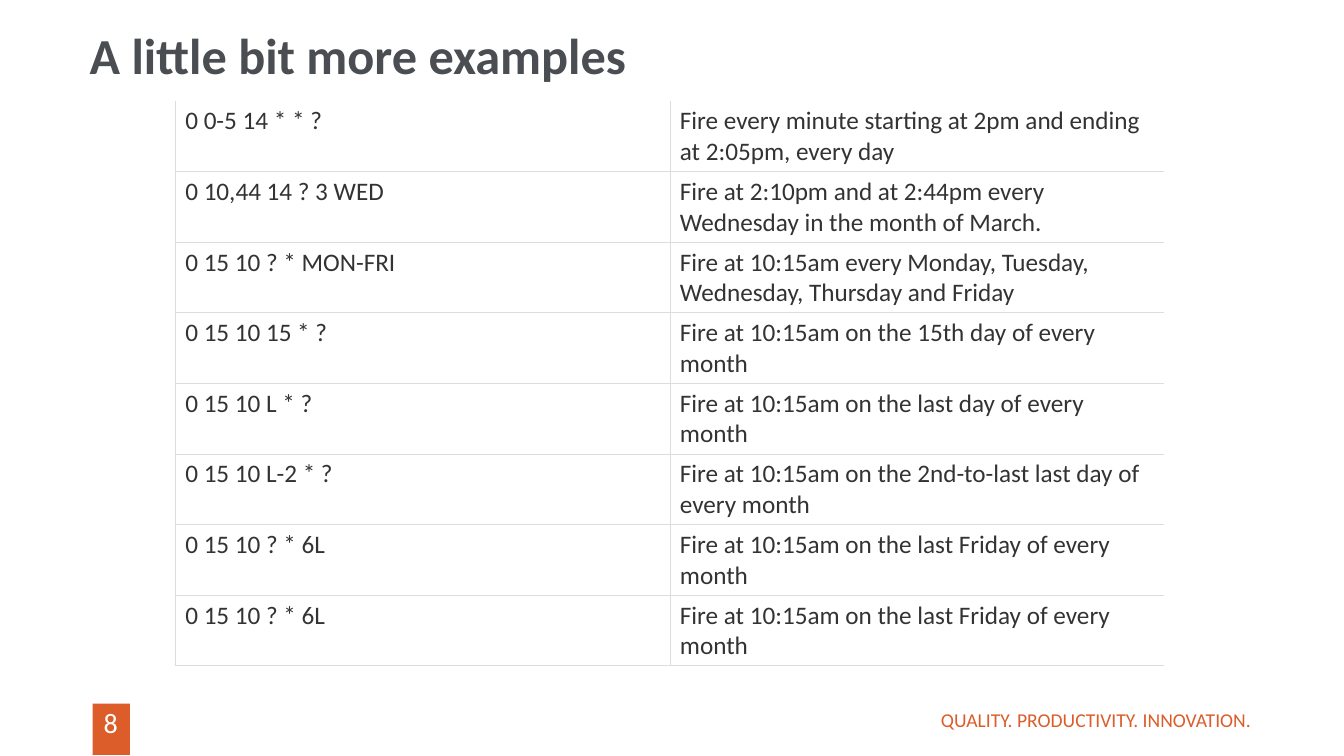
from lxml.etree import SubElement
from pptx import Presentation
from pptx.dml.color import RGBColor
from pptx.enum.shapes import MSO_SHAPE as Shape
from pptx.enum.text import MSO_ANCHOR as Anchor, MSO_AUTO_SIZE as AutoSize, PP_ALIGN as Align
from pptx.oxml.ns import qn
from pptx.util import Inches, Pt

ORANGE = RGBColor(0xDC, 0x5D, 0x2A)
SLATE = RGBColor(0x4A, 0x4E, 0x52)
CHARCOAL = RGBColor(0x33, 0x33, 0x33)
SILVER = RGBColor(0xDD, 0xDD, 0xDD)
WHITE = RGBColor(0xFF, 0xFF, 0xFF)

LAST_FRIDAY = ("0 15 10 ? * 6L", "Fire at 10:15am on the last Friday of every month")
SCHEDULES = [
    ("0 0-5 14 * * ?", "Fire every minute starting at 2pm and ending at 2:05pm, every day"),
    ("0 10,44 14 ? 3 WED", "Fire at 2:10pm and at 2:44pm every Wednesday in the month of March."),
    ("0 15 10 ? * MON-FRI", "Fire at 10:15am every Monday, Tuesday, Wednesday, Thursday and Friday"),
    ("0 15 10 15 * ?", "Fire at 10:15am on the 15th day of every month"),
    ("0 15 10 L * ?", "Fire at 10:15am on the last day of every month"),
    ("0 15 10 L-2 * ?", "Fire at 10:15am on the 2nd-to-last last day of every month"),
    LAST_FRIDAY,
    LAST_FRIDAY,
]


def apply(target, values):
    """Set each named attribute on the target."""
    for name, value in values.items():
        setattr(target, name, value)


class SlideBuilder:
    """Draw styled elements on a slide, placed by percent of its width and height."""

    font_name = "Calibri"
    border_width = Pt(0.34)

    def __init__(self, presentation):
        """Add a title-only slide and work out its percent grid."""
        self.slide = presentation.slides.add_slide(presentation.slide_layouts[5])
        self.column = presentation.slide_width / 100
        self.row = presentation.slide_height / 100

    def box(self, left, top, width, height):
        """Turn percent of the slide into lengths."""
        return (round(left * self.column), round(top * self.row),
                round(width * self.column), round(height * self.row))

    def set_text(self, frame, text, size, color, bold=False, **layout):
        """Fill a text frame with one styled paragraph."""
        frame.text = text
        paragraph = frame.paragraphs[0]
        apply(paragraph, layout)
        apply(paragraph.font, {"name": self.font_name, "size": Pt(size), "bold": bold})
        paragraph.font.color.rgb = color

    def title(self, text, box):
        """Place and format the title placeholder."""
        shape = self.slide.shapes.title
        apply(shape, dict(zip(("left", "top", "width", "height"), self.box(*box))))
        apply(shape.text_frame, {"margin_left": 0, "vertical_anchor": Anchor.TOP,
                                 "auto_size": AutoSize.NONE, "word_wrap": True})
        self.set_text(shape.text_frame, text, 36, SLATE, True,
                      alignment=Align.LEFT, line_spacing=0.9)

    def rectangle(self, box, color):
        """Draw a plain filled rectangle."""
        shape = self.slide.shapes.add_shape(Shape.RECTANGLE, *self.box(*box))
        shape.shadow.inherit = False
        shape.fill.solid()
        shape.fill.fore_color.rgb = color
        shape.line.fill.background()

    def label(self, text, box, size, color, alignment, anchor):
        """Add a text box without insets."""
        frame = self.slide.shapes.add_textbox(*self.box(*box)).text_frame
        margins = dict.fromkeys(("margin_left", "margin_top", "margin_right", "margin_bottom"), 0)
        apply(frame, {**margins, "word_wrap": True, "vertical_anchor": anchor})
        self.set_text(frame, text, size, color, alignment=alignment)

    def border(self, cell, side, visible):
        """Draw or clear one side of a cell."""
        line = SubElement(cell._tc.get_or_add_tcPr(), qn(f"a:ln{side}"), w=str(self.border_width))
        if visible:
            fill = SubElement(line, qn("a:solidFill"))
            SubElement(fill, qn("a:srgbClr"), val=str(SILVER))
        else:
            SubElement(line, qn("a:noFill"))

    def table(self, rows, box):
        """Build a ruled table that is open at the top and right."""
        columns = len(rows[0])
        table = self.slide.shapes.add_table(len(rows), columns, *self.box(*box)).table
        apply(table, {"first_row": False, "horz_banding": False})
        for row_index, row in enumerate(rows):
            for column_index, text in enumerate(row):
                cell = table.cell(row_index, column_index)
                sides = {"L": True, "R": column_index < columns - 1, "T": row_index > 0, "B": True}
                for side, visible in sides.items():
                    self.border(cell, side, visible)
                cell.fill.solid()
                cell.fill.fore_color.rgb = WHITE
                self.set_text(cell.text_frame, text, 18, CHARCOAL)


def main():
    """Build and save the presentation."""
    presentation = Presentation()
    apply(presentation, {"slide_width": Inches(13.34), "slide_height": Inches(7.5)})
    builder = SlideBuilder(presentation)
    builder.rectangle((6.9, 93.07, 2.77, 6.8), ORANGE)
    builder.label("8", (6.45, 93.33, 3.6, 4.53), 20, WHITE, Align.CENTER, Anchor.TOP)
    builder.title("A little bit more examples", (6.67, 3.47, 69.79, 15.87))
    builder.label("QUALITY. PRODUCTIVITY. INNOVATION.", (62.59, 92.53, 30.51, 5.33),
                  14, ORANGE, Align.RIGHT, Anchor.MIDDLE)
    builder.table(SCHEDULES, (13.04, 13.33, 73.61, 72.93))
    presentation.save("out.pptx")


if __name__ == "__main__":
    main()
